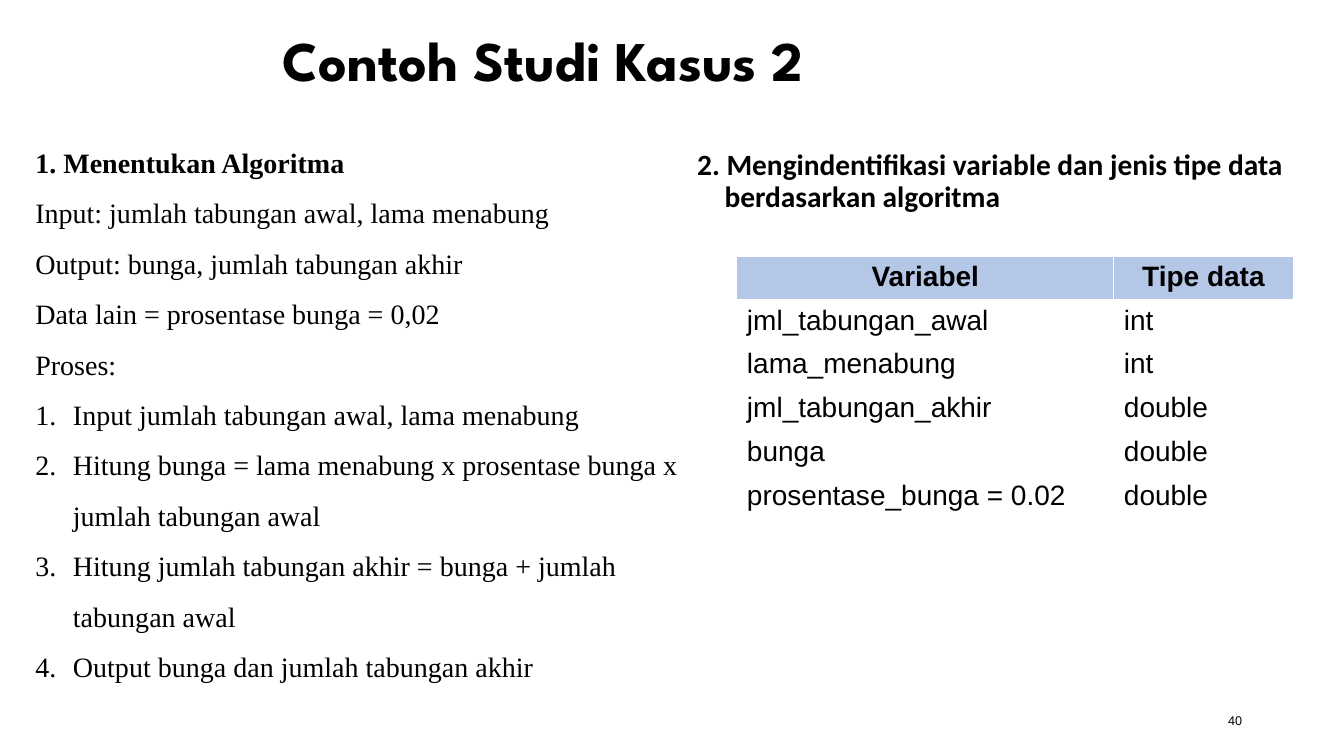
"""Build the slide on case study 2: algorithm steps and a table of variables."""
import pptx
import pptx.util
import pptx.dml.color
import pptx.enum.text
import pptx.oxml.ns
from lxml import etree

Cm, Pt = pptx.util.Cm, pptx.util.Pt
ALIGN = pptx.enum.text.PP_ALIGN
ANCHOR = pptx.enum.text.MSO_ANCHOR
COLORS = {"text": "000000", "header": "B4C7E7"}


def write(paragraph, text, font, size, bold=False, **layout):
    run = paragraph.add_run()
    run.text = text
    for name, value in {"name": font, "size": Pt(size), "bold": bold}.items():
        setattr(run.font, name, value)
    run.font.color.rgb = pptx.dml.color.RGBColor.from_string(COLORS["text"])
    for name, value in layout.items():
        setattr(paragraph, name, value)


def add_frame(left, top, width, height, anchor):
    box = slide.shapes.add_textbox(Cm(left), Cm(top), Cm(width), Cm(height))
    for name, value in {"word_wrap": True, "vertical_anchor": anchor}.items():
        setattr(box.text_frame, name, value)
    return box.text_frame


deck = pptx.Presentation()
deck.slide_width, deck.slide_height = Cm(33.87), Cm(19.05)
slide = deck.slides.add_slide(deck.slide_layouts[6])

title = add_frame(6.88, 0, 20.24, 3.18, ANCHOR.MIDDLE)
write(title.paragraphs[0], "Contoh Studi Kasus 2", "League Spartan", 40, True, line_spacing=0.9)

page_number = add_frame(23.93, 17.65, 7.62, 1.02, ANCHOR.MIDDLE)
write(page_number.paragraphs[0], "40", "Arial", 9, alignment=ALIGN.RIGHT)

algorithm = add_frame(0.64, 6.99, 17.17, 6.48, ANCHOR.MIDDLE)
write(algorithm.paragraphs[0], "1. Menentukan Algoritma", "Times New Roman", 20, True, line_spacing=1.5)
definitions = [
    "Input: jumlah tabungan awal, lama menabung",
    "Output: bunga, jumlah tabungan akhir",
    "Data lain = prosentase bunga = 0,02",
    "Proses:",
]
steps = [
    "Input jumlah tabungan awal, lama menabung",
    "Hitung bunga = lama menabung x prosentase bunga x jumlah tabungan awal",
    "Hitung jumlah tabungan akhir = bunga + jumlah tabungan awal",
    "Output bunga dan jumlah tabungan akhir",
]
for line in definitions + steps:
    paragraph = algorithm.add_paragraph()
    write(paragraph, line, "Times New Roman", 20, line_spacing=1.5)
    if line in steps:
        properties = paragraph._p.get_or_add_pPr()
        properties.set("marL", str(Cm(0.95)))
        properties.set("indent", str(-Cm(0.95)))
        numbering = etree.SubElement(properties, pptx.oxml.ns.qn("a:buAutoNum"))
        numbering.set("type", "arabicPeriod")

variables_heading = add_frame(16.99, 3.66, 16.33, 12.09, ANCHOR.TOP).paragraphs[0]
write(variables_heading, "2. Mengindentifikasi variable dan jenis tipe data berdasarkan algoritma",
      "Calibri", 21, True, line_spacing=0.9, space_before=Pt(7.5))
heading_properties = variables_heading._p.get_or_add_pPr()
heading_properties.set("marL", str(Cm(1.02)))
heading_properties.set("indent", str(-Cm(0.69)))

variables = [
    ("Variabel", "Tipe data"),
    ("jml_tabungan_awal", "int"),
    ("lama_menabung", "int"),
    ("jml_tabungan_akhir", "double"),
    ("bunga", "double"),
    ("prosentase_bunga = 0.02", "double"),
]
column_widths = [9.5, 4.52]
row_height = 1.04
table = slide.shapes.add_table(
    len(variables), len(column_widths), Cm(18.57), Cm(6.45),
    Cm(sum(column_widths)), Cm(row_height * len(variables))).table
table.horz_banding = False
for column, width in zip(table.columns, column_widths):
    column.width = Cm(width)
for row_index, entries in enumerate(variables):
    table.rows[row_index].height = Cm(row_height)
    is_header = row_index == 0
    for column_index, entry in enumerate(entries):
        cell = table.cell(row_index, column_index)
        if is_header:
            cell.fill.solid()
            cell.fill.fore_color.rgb = pptx.dml.color.RGBColor.from_string(COLORS["header"])
        else:
            cell.fill.background()
        write(cell.text_frame.paragraphs[0], entry, "Arial", 20, is_header,
              alignment=ALIGN.CENTER if is_header else ALIGN.LEFT)

deck.save("out.pptx")
